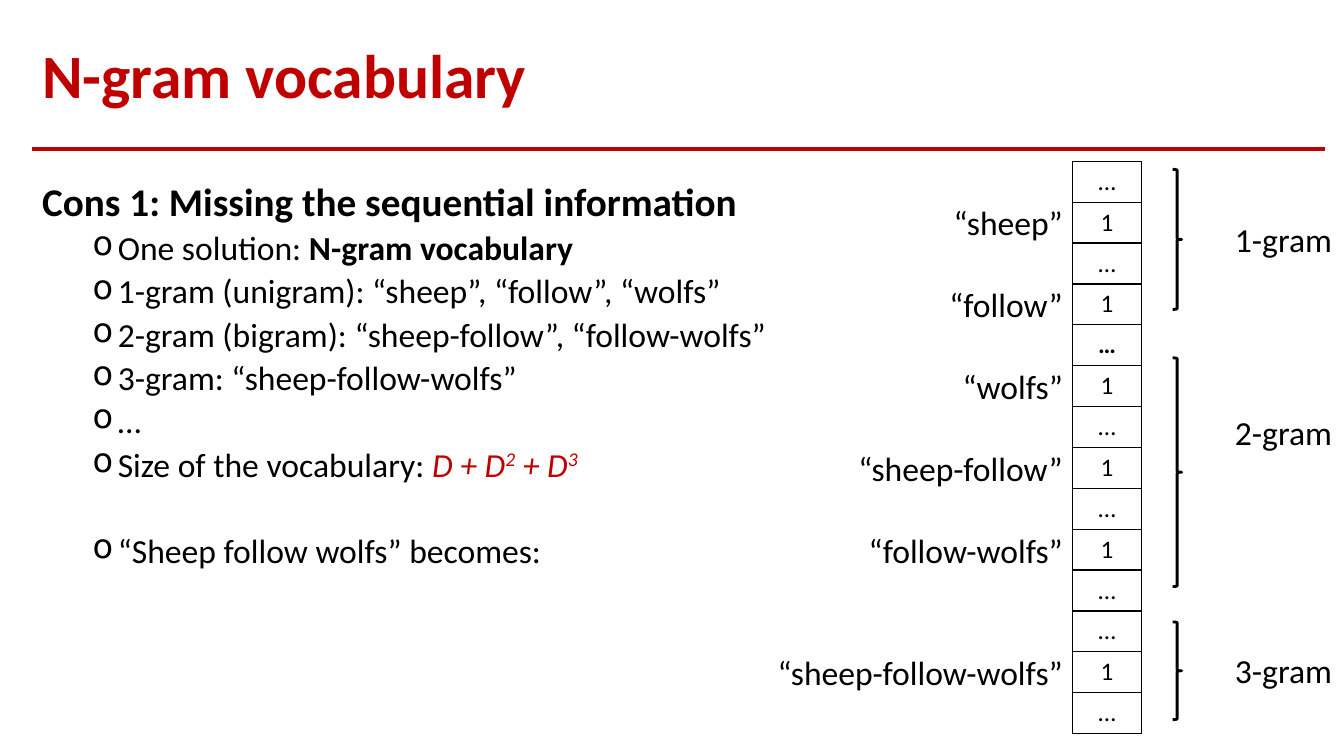
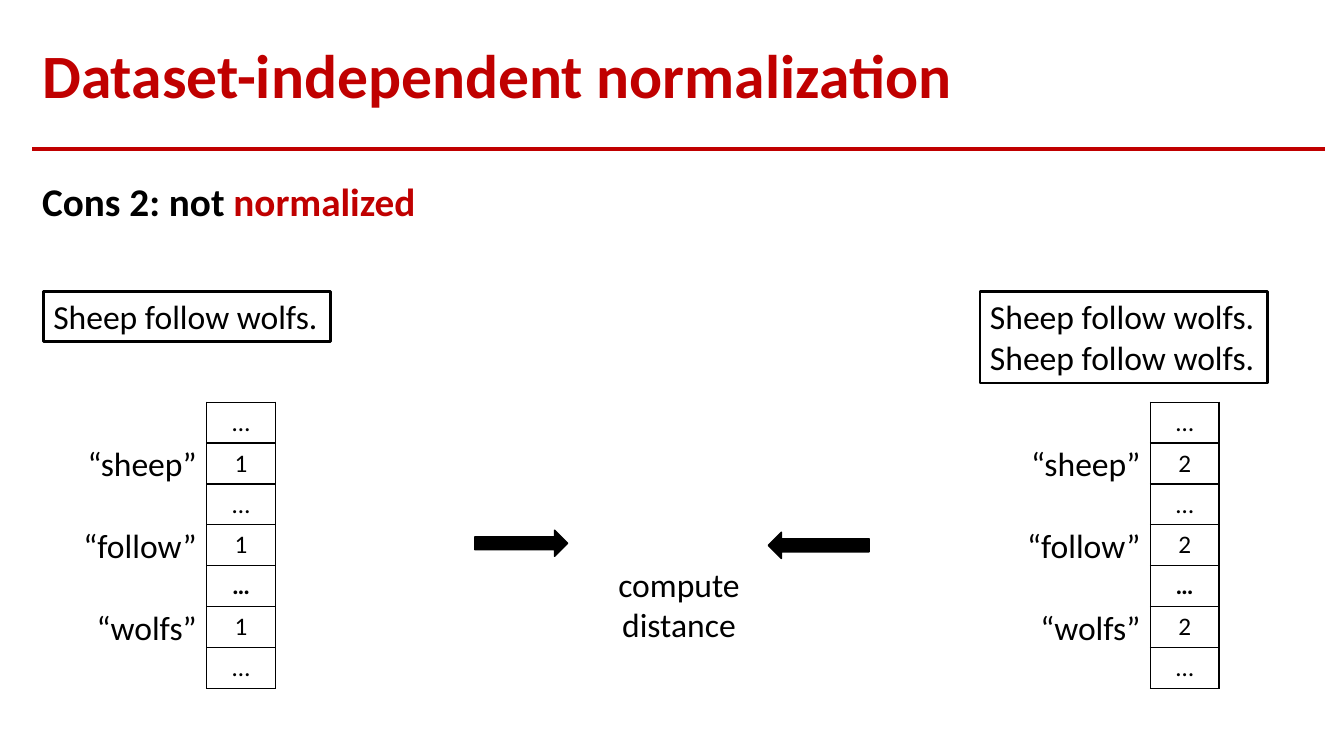
from lxml import etree
from pptx import Presentation
from pptx import util as u
from pptx.dml.color import RGBColor
from pptx.enum import shapes, text
from pptx.oxml import ns

RED, BLACK = RGBColor(0xC0, 0, 0), RGBColor(0, 0, 0)
FONT = "Calibri"
WIDE, HIGH = 13.33, 7.5
LEFT, SPAN = 0.32, 12.82
ROW, COL = 5.68 / 14, 0.68
LINE = 0.5
KIND = shapes.MSO_SHAPE
START, MID, END = text.PP_ALIGN.LEFT, text.PP_ALIGN.CENTER, text.PP_ALIGN.RIGHT

# A run is its words and its format; a paragraph is a list of runs.
HEAD = {"size": 28, "bold": True}
TITLE = {"size": 44, "bold": True, "color": RED}
MATH = {"italic": True, "color": RED}
POWER = {**MATH, "base": 30000}

TITLE_1 = "N-gram vocabulary"
HEAD_1 = [("Cons 1: Missing the sequential information", HEAD)]
POINTS = [
    [("One solution: ", {}), ("N-gram vocabulary", {"bold": True})],
    [("1-gram (unigram): “sheep”, “follow”, “wolfs”", {})],
    [("2-gram (bigram): “sheep-follow”, “follow-wolfs”", {})],
    [("3-gram: “sheep-follow-wolfs”", {})],
    [("…", {})],
    [("Size of the vocabulary: ", {}), ("D + D", MATH), ("2", POWER),
     (" + D", MATH), ("3", POWER)],
]
LAST = [("“Sheep follow wolfs” becomes:", {})]
# Row of the vector: word
WORDS = {1: "“sheep”", 3: "“follow”", 5: "“wolfs”"}
GRAMS = {**WORDS, 7: "“sheep-follow”", 9: "“follow-wolfs”",
         12: "“sheep-follow-wolfs”"}
# Name, top of name, top and height of brace
BRACES = [("1-gram", 2.12, 1.68, 1.39), ("2-gram", 4.04, 3.55, 2.27),
          ("3-gram", 6.4, 6.17, 0.97)]

TITLE_2 = "Dataset-independent normalization"
HEAD_2 = [("Cons 2: not ", HEAD), ("normalized", {**HEAD, "color": RED})]
CLAUSE = "Sheep follow wolfs."
# Times the clause occurs, left of its box, left of its vector
CASES = [(1, 0.43, 2.05), (2, 9.72, 11.41)]
# Left, top, width, turn
ARROWS = [(4.71, 5.26, 0.92, 0), (7.62, 5.28, 1, 180)]


def box(*sides):
    return [u.Inches(side) for side in sides]


def style(run, form):
    """Format a run: 24 pt black, unless form says otherwise."""
    form = {"name": FONT, "size": 24, "color": BLACK, **form}
    run.font.color.rgb = form.pop("color")
    base = form.pop("base", None)
    if base:
        run._r.get_or_add_rPr().set("baseline", str(base))
    form["size"] = u.Pt(form["size"])
    for key, value in form.items():
        setattr(run.font, key, value)


def write(frame, paras, align=START, wrap=True):
    frame.word_wrap = wrap
    for i, runs in enumerate(paras):
        para = frame.add_paragraph() if i else frame.paragraphs[0]
        para.alignment = align
        for words, form in runs:
            run = para.add_run()
            run.text = words
            style(run, form)
    return frame


def label(slide, words, sides, align=START, wrap=True, form={}):
    area = slide.shapes.add_textbox(*box(*sides))
    return write(area.text_frame, [[(words, form)]], align, wrap)


def shape(slide, kind, sides, line, fill=None):
    item = slide.shapes.add_shape(kind, *box(*sides))
    item.shadow.inherit = False
    item.line.color.rgb = BLACK
    item.line.width = u.Pt(line)
    if fill is None:
        item.fill.background()
    else:
        item.fill.solid()
        item.fill.fore_color.rgb = fill
    return item


def bullet(para):
    props = para._p.get_or_add_pPr()
    props.set("marL", str(u.Inches(0.75)))
    props.set("indent", str(u.Inches(-0.25)))
    etree.SubElement(props, ns.qn("a:buChar")).set("char", "o")


def page(deck, title, paras):
    """Add a slide with title, rule, heading and bullets."""
    slide = deck.slides.add_slide(deck.slide_layouts[6])
    rule = slide.shapes.add_connector(
        shapes.MSO_CONNECTOR.STRAIGHT, *box(LEFT, 1.48, LEFT + SPAN, 1.48))
    rule.line.color.rgb = RED
    rule.line.width = u.Pt(2.5)
    etree.SubElement(rule._element.spPr, ns.qn("a:effectLst"))
    frame = label(slide, title, (LEFT, 0.28, SPAN, 1), form=TITLE)
    frame.vertical_anchor = text.MSO_ANCHOR.MIDDLE
    frame.paragraphs[0].line_spacing = 0.9
    body = slide.shapes.add_textbox(*box(LEFT, 1.76, SPAN, 5.55))
    write(body.text_frame, paras)
    for i, para in enumerate(body.text_frame.paragraphs):
        para.line_spacing = 0.9
        para.space_before = u.Pt(5 if i else 10)
        if i:
            bullet(para)
    return slide, body.text_frame


def border(cell):
    props = cell._tc.get_or_add_tcPr()
    for side in "LRTB":
        line = etree.SubElement(props, ns.qn(f"a:ln{side}"), w=str(u.Pt(1)))
        fill = etree.SubElement(line, ns.qn("a:solidFill"))
        etree.SubElement(fill, ns.qn("a:srgbClr"), val=str(BLACK))


def vector(slide, left, top, rows, words, count):
    """Draw a column of counts with the words to its left."""
    table = slide.shapes.add_table(
        rows, 1, *box(left, top, COL, rows * ROW)).table
    table.first_row = table.horz_banding = False
    for i in range(rows):
        table.rows[i].height = u.Inches(ROW)
        cell = table.cell(i, 0)
        border(cell)
        cell.fill.background()
        mark = str(count) if i in words else "…"
        write(cell.text_frame, [[(mark, {"size": 18, "bold": i == 4})]], MID)
    for i, word in words.items():
        mid = top + (i + 0.5) * ROW
        label(slide, word, (left - 3.1, mid - LINE / 2, 3.1, LINE), END)


def grams(deck):
    slide, frame = page(deck, TITLE_1, [HEAD_1, *POINTS, LAST])
    frame.paragraphs[-1].space_before = u.Pt(36)
    vector(slide, 10.64, 1.6, 14, GRAMS, 1)
    for name, high, top, tall in BRACES:
        shape(slide, KIND.RIGHT_BRACE, (11.63, top, 0.09, tall), 2)
        label(slide, name, (12.15, high, 1.17, LINE), wrap=False)


def norms(deck):
    slide, _ = page(deck, TITLE_2, [HEAD_2])
    for count, left, edge in CASES:
        tall = LINE + (count - 1) * 0.41
        note = shape(slide, KIND.RECTANGLE, (left, 2.89, 2.85, tall), 2)
        write(note.text_frame, [[(" ".join([CLAUSE] * count), {})]])
        note.text_frame.vertical_anchor = text.MSO_ANCHOR.TOP
        vector(slide, edge, 3.99, 7, WORDS, count)
    for left, top, wide, turn in ARROWS:
        arrow = shape(slide, KIND.RIGHT_ARROW, (left, top, wide, 0.26), 1, BLACK)
        arrow.rotation = turn
    label(slide, "compute distance", (5.97, 5.54, 1.53, 0.91), MID)


def main():
    deck = Presentation()
    deck.slide_width, deck.slide_height = box(WIDE, HIGH)
    grams(deck)
    norms(deck)
    deck.save("out.pptx")


if __name__ == "__main__":
    main()
